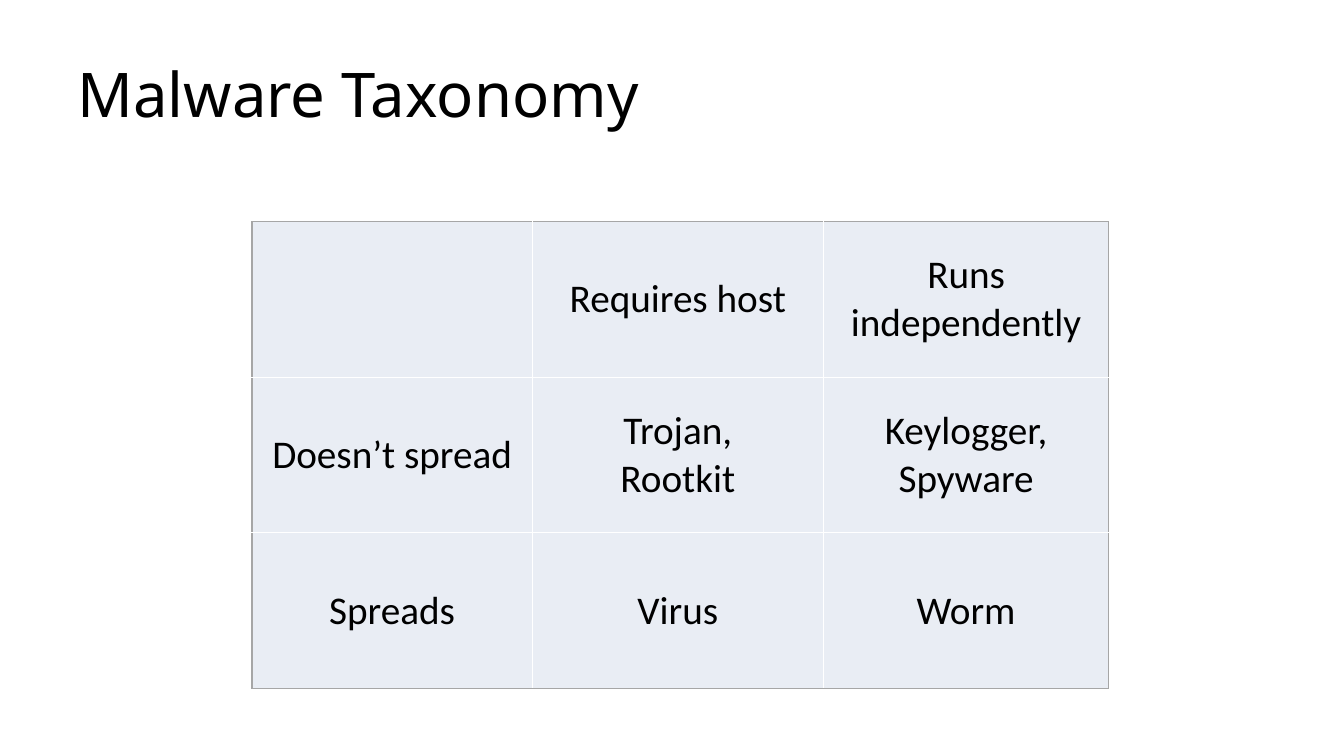
from dataclasses import dataclass
from lxml.etree import SubElement
from pptx import Presentation
from pptx.dml.color import RGBColor as Rgb
from pptx.enum.text import MSO_ANCHOR as Anchor, PP_ALIGN as Align
from pptx.oxml.ns import qn
from pptx.table import _Cell as Cell
from pptx.text.text import TextFrame as Frame
from pptx.util import Emu, Inches, Pt

GRID_COLS, GRID_ROWS = 160, 90
WIDE, HIGH = Inches(13.33), Inches(7.5)
BLACK, WHITE, GREY, PALE = "000000", "FFFFFF", "A6A6A6", "E9EDF4"


@dataclass
class Box:
    left: float
    top: float
    width: float
    height: float


@dataclass
class Matrix:
    box: Box
    widths: list[float]
    texts: list[list[str]]


TITLE = Box(8, 3.6, 144, 15)
TAXONOMY = Matrix(
    Box(30, 26.4, 102, 55.56),
    [33.36, 34.68, 33.96],
    [
        ["", "Requires host", "Runs independently"],
        ["Doesn’t spread", "Trojan,\nRootkit", "Keylogger,\nSpyware"],
        ["Spreads", "Virus", "Worm"],
    ],
)


def across(cols: float) -> Emu:
    return Emu(round(WIDE * cols / GRID_COLS))


def down(rows: float) -> Emu:
    return Emu(round(HIGH * rows / GRID_ROWS))


def place(box: Box) -> tuple[Emu, Emu, Emu, Emu]:
    return across(box.left), down(box.top), across(box.width), down(box.height)


def color(code: str) -> Rgb:
    return Rgb.from_string(code)


def write(frame: Frame, text: str, font: str, size: int, align: Align) -> None:
    frame.text = text
    for para in frame.paragraphs:
        para.alignment = align
        for run in para.runs:
            run.font.name = font
            run.font.size = Pt(size)
            run.font.color.rgb = color(code=BLACK)


def edge(cell: Cell, side: str, code: str) -> None:
    line = SubElement(cell._tc.get_or_add_tcPr(), qn(f"a:ln{side}"), w=str(Pt(1)))
    fill = SubElement(line, qn("a:solidFill"))
    SubElement(fill, qn("a:srgbClr"), val=code)


def draw(slide, matrix: Matrix) -> None:
    count = len(matrix.texts)
    last = len(matrix.widths) - 1
    table = slide.shapes.add_table(count, last + 1, *place(matrix.box)).table
    table.first_row = table.horz_banding = False
    for col, width in zip(table.columns, matrix.widths):
        col.width = across(width)
    for r, texts in enumerate(matrix.texts):
        table.rows[r].height = down(matrix.box.height / count)
        for c, text in enumerate(texts):
            cell = table.cell(r, c)
            outer = {"L": c == 0, "R": c == last, "T": r == 0, "B": r == count - 1}
            for side, rim in outer.items():
                edge(cell, side, GREY if rim else WHITE)
            cell.fill.solid()
            cell.fill.fore_color.rgb = color(PALE)
            cell.vertical_anchor = Anchor.MIDDLE
            write(cell.text_frame, text, "Calibri", 28, Align.CENTER)


def main() -> None:
    deck = Presentation()
    deck.slide_width, deck.slide_height = WIDE, HIGH
    slide = deck.slides.add_slide(deck.slide_layouts[5])
    title = slide.shapes.title
    title.left, title.top, title.width, title.height = place(TITLE)
    title.text_frame.vertical_anchor = Anchor.MIDDLE
    write(title.text_frame, "Malware Taxonomy", "Noto Sans", 44, Align.LEFT)
    draw(slide, TAXONOMY)
    deck.save("out.pptx")


if __name__ == "__main__":
    main()
